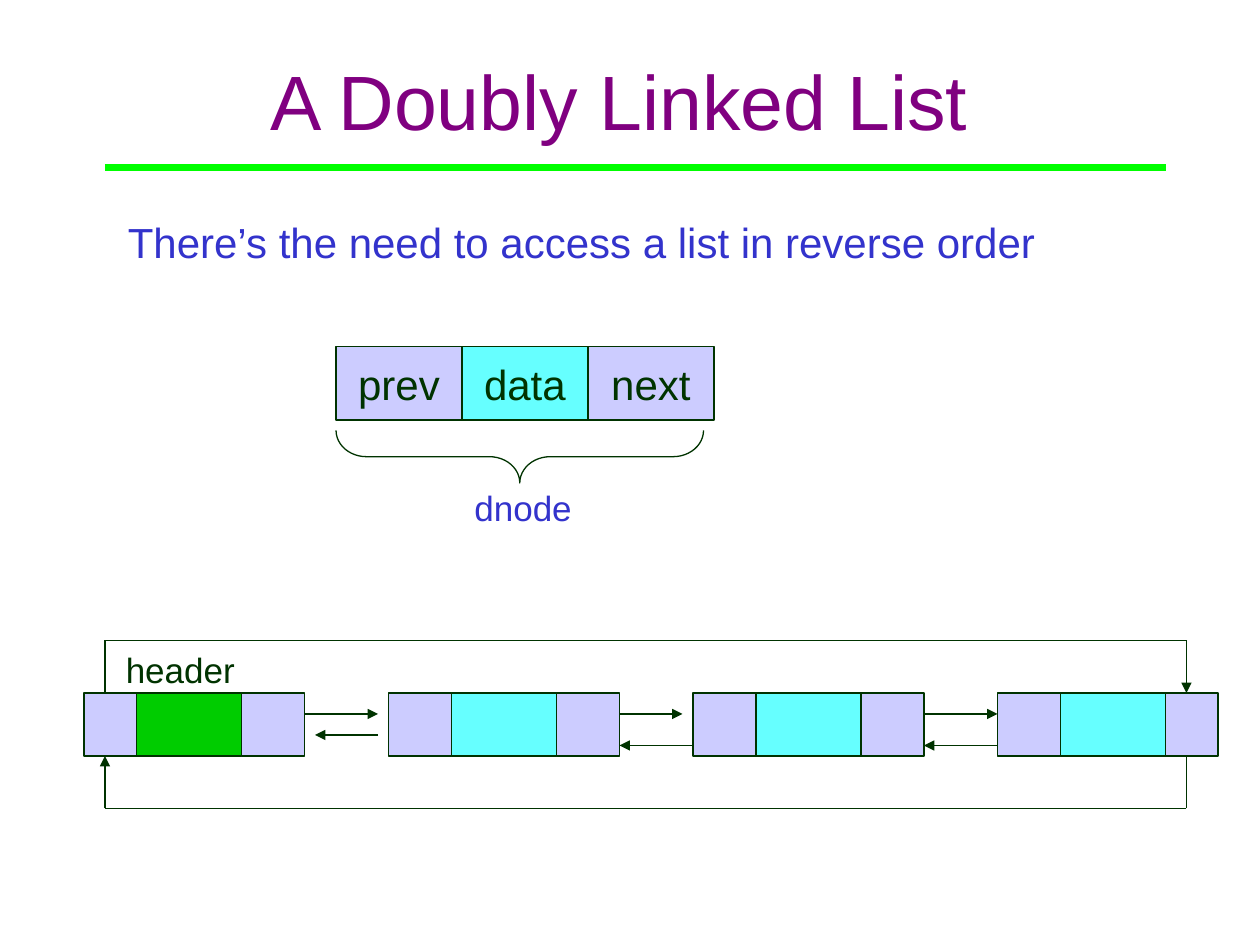
from itertools import pairwise

from lxml import etree
from pptx import Presentation
from pptx import util as u
from pptx.dml.color import RGBColor
from pptx.enum import shapes, text
from pptx.oxml.ns import qn

INK = RGBColor(0x00, 0x33, 0x00)
LINK = RGBColor(0xCC, 0xCC, 0xFF)
DATA = RGBColor(0x66, 0xFF, 0xFF)
HEADER = RGBColor(0x00, 0xCC, 0x00)
BLUE = RGBColor(0x33, 0x33, 0xCC)
PURPLE = RGBColor(0x80, 0x00, 0x80)
LIME = RGBColor(0x00, 0xFF, 0x00)
UNIT = 2.54 / 12


def grid(*values):
    """Turn grid units of a twelfth of an inch into lengths."""
    return [u.Cm(v * UNIT) for v in values]


def write(sp, words, size, color, align, anchor, wrap=True):
    """Put one run of text into a shape."""
    tf = sp.text_frame
    tf.word_wrap = wrap
    tf.vertical_anchor = anchor
    p = tf.paragraphs[0]
    p.alignment = align
    r = p.add_run()
    r.text = words
    r.font.name = "Arial"
    r.font.size = u.Pt(size)
    r.font.color.rgb = color


def add_label(s, box, words, size, color):
    """Add a left-aligned text box."""
    sp = s.shapes.add_textbox(*grid(*box))
    write(sp, words, size, color, text.PP_ALIGN.LEFT, text.MSO_ANCHOR.TOP)


def add_title(s, box, words):
    """Add the centred slide title."""
    sp = s.shapes.add_textbox(*grid(*box))
    write(sp, words, 44, PURPLE, text.PP_ALIGN.CENTER, text.MSO_ANCHOR.MIDDLE)


def add_cell(s, box, fill, words=None):
    """Add one outlined field of a node."""
    sp = s.shapes.add_shape(shapes.MSO_SHAPE.RECTANGLE, *grid(*box))
    sp.shadow.inherit = False
    sp.fill.solid()
    sp.fill.fore_color.rgb = fill
    sp.line.color.rgb = INK
    sp.line.width = u.Pt(0.75)
    if words:
        write(sp, words, 24, INK, text.PP_ALIGN.CENTER, text.MSO_ANCHOR.MIDDLE, False)


def add_node(s, prev, data, following, fill):
    """Add a list node from the left edges of its three fields."""
    for left, width, color in ((prev, 6, LINK), (following, 6, LINK), (data, 10, fill)):
        add_cell(s, (left, 66, width, 6), color)


def add_line(s, start, end, arrow=False, color=INK, width=0.75):
    """Add a straight line, with an arrowhead at its end if asked."""
    c = s.shapes.add_connector(shapes.MSO_CONNECTOR.STRAIGHT, *grid(*start, *end))
    c.line.color.rgb = color
    c.line.width = u.Pt(width)
    if arrow:
        etree.SubElement(c.line._get_or_add_ln(), qn("a:tailEnd"), type="triangle")
    etree.SubElement(c._element.spPr, qn("a:effectLst"))


def add_route(s, points):
    """Join points with lines, ending in an arrowhead."""
    legs = list(pairwise(points))
    for i, (start, end) in enumerate(legs, 1):
        add_line(s, start, end, i == len(legs))


def add_brace(s, box):
    """Add a brace that opens upwards."""
    sp = s.shapes.add_shape(shapes.MSO_SHAPE.RIGHT_BRACE, *grid(*box))
    sp.rotation = 90
    sp.adjustments[0] = 0.58
    sp.shadow.inherit = False
    sp.fill.background()
    sp.line.color.rgb = INK
    sp.line.width = u.Pt(0.75)


def main():
    """Build the slide and save it."""
    prs = Presentation()
    prs.slide_width, prs.slide_height = u.Cm(25.4), u.Cm(19.05)
    s = prs.slides.add_slide(prs.slide_layouts[6])

    add_title(s, (9, 2, 102, 15), "A Doubly Linked List ")
    add_line(s, (10, 16), (111, 16), color=LIME, width=4)
    add_label(s, (11, 20, 91, 6),
              "There’s the need to access a list in reverse order", 24, BLUE)

    for i, (words, fill) in enumerate((("prev", LINK), ("data", DATA), ("next", LINK))):
        add_cell(s, (32 + 12 * i, 33, 12, 7), fill, words)
    add_brace(s, (47, 26, 5, 35))
    add_label(s, (44, 45.7, 12.5, 5.3), "dnode", 20, BLUE)

    add_node(s, 8, 13, 23, HEADER)
    for prev, data, following in ((37, 43, 53), (66, 72, 82), (95, 101, 110)):
        add_node(s, prev, data, following, DATA)

    for left, right, y in ((29, 36, 68), (36, 30, 70), (59, 65, 68),
                           (66, 59, 71), (88, 95, 68), (95, 88, 71)):
        add_line(s, (left, y), (right, y), True)
    add_route(s, ((10, 66), (10, 61), (113, 61), (113, 66)))
    add_route(s, ((113, 72), (113, 77), (10, 77), (10, 72)))
    add_label(s, (10.8, 61.2, 13.5, 5.3), "header", 20, INK)

    prs.save("out.pptx")


if __name__ == "__main__":
    main()
